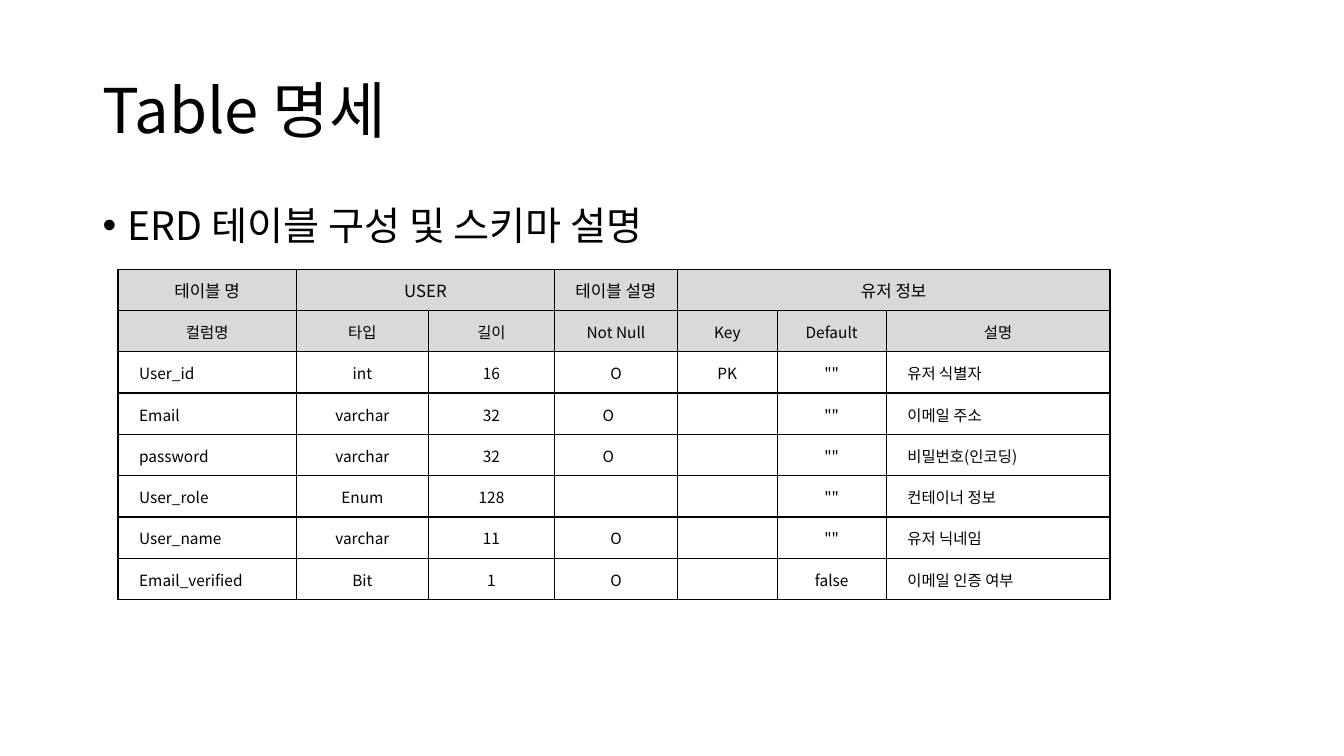
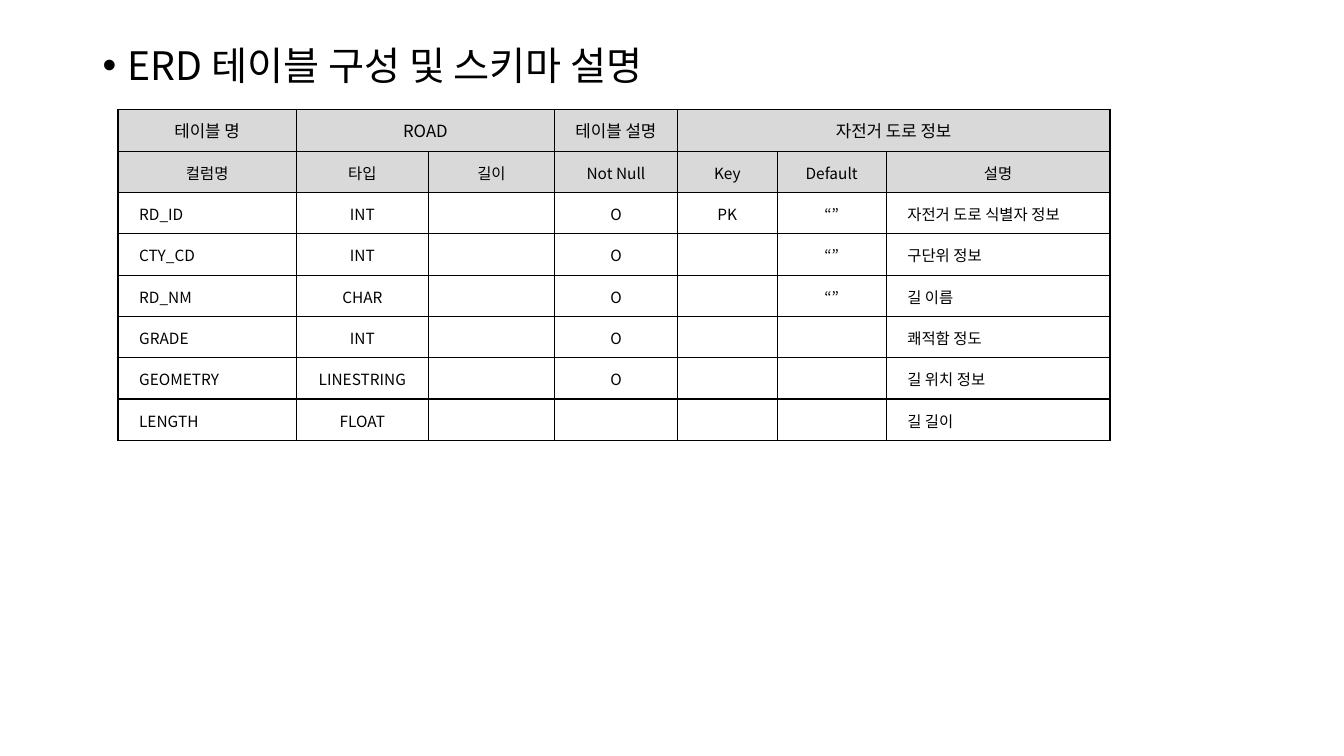
from dataclasses import dataclass

from lxml import etree
from pptx import Presentation
from pptx.dml.color import RGBColor
from pptx.enum.text import MSO_ANCHOR, PP_ALIGN
from pptx.oxml.ns import qn
from pptx.slide import Slide
from pptx.table import _Cell
from pptx.text.text import TextFrame
from pptx.util import Inches, Pt

LEFT, CENTER = PP_ALIGN.LEFT, PP_ALIGN.CENTER
TOP, MIDDLE = MSO_ANCHOR.TOP, MSO_ANCHOR.MIDDLE


@dataclass(frozen=True)
class Theme:
    font: str = "Noto Sans CJK KR"
    ink: str = "000000"
    header_fill: str = "D9D9D9"
    title_pt: int = 44
    body_pt: int = 28
    caption_pt: int = 12
    cell_pt: int = 11
    border_pt: int = 1


@dataclass(frozen=True)
class TableSpec:
    name: str
    description: str
    rows: list[tuple[str, ...]]


THEME = Theme()

# Shared layout, in inches
TEXT_LEFT, TEXT_WIDTH = 0.92, 11.5
TABLE_LEFT, ROW_HEIGHT = 1.17, 0.41
COL_WIDTHS = (1.77, 1.31, 1.25, 1.22, 0.99, 1.08, 2.22)
CELL_INSET, CELL_INDENT = 0.01, 0.2
BULLET_INDENT = 0.25

# Table content
HEADING = "ERD 테이블 구성 및 스키마 설명"
COLUMNS = ("컬럼명", "타입", "길이", "Not Null", "Key", "Default", "설명")
LEFT_COLUMNS = (0, len(COLUMNS) - 1)
CAPTION_SPANS = ((0, 0), (1, 2), (3, 3), (4, 6))

USER = TableSpec("USER", "유저 정보", [
    ("User_id", "int", "16", "O", "PK", '""', "유저 식별자"),
    ("Email", "varchar", "32", "O　", "", '""', "이메일 주소"),
    ("password", "varchar", "32", "O　", "", '""', "비밀번호(인코딩)"),
    ("User_role", "Enum", "128", "", "", '""', "컨테이너 정보"),
    ("User_name", "varchar", "11", "O", "", '""', "유저 닉네임"),
    ("Email_verified", "Bit", "1", "O", "", "false", "이메일 인증 여부"),
])
ROAD = TableSpec("ROAD", "자전거 도로 정보", [
    ("RD_ID", "INT", "", "O", "PK", "“”", "자전거 도로 식별자 정보"),
    ("CTY_CD", "INT", "", "O", "", "“”", "구단위 정보"),
    ("RD_NM", "CHAR", "", "O", "", "“”", "길 이름"),
    ("GRADE", "INT", "", "O", "", "", "쾌적함 정도"),
    ("GEOMETRY", "INT", "", "O", "", "", "길 위치 정보"),
    ("LENGTH", "FLOAT", "", "", "", "", "길 길이"),
])
ROAD.rows[4] = ("GEOMETRY", "LINESTRING", *ROAD.rows[4][2:])


def write_text(tf: TextFrame, text: str, *, size: int, align: PP_ALIGN = LEFT,
               indent: float = 0, line_spacing: float | None = None,
               space_before: int | None = None, bullet: str = "") -> None:
    p = tf.paragraphs[0]
    p.alignment = align
    if line_spacing is not None:
        p.line_spacing = line_spacing
    if space_before is not None:
        p.space_before = Pt(space_before)
    if indent:
        pPr = p._p.get_or_add_pPr()
        pPr.set("marL", str(Inches(indent)))
        pPr.set("indent", str(Inches(-indent if bullet else 0)))
        if bullet:
            etree.SubElement(pPr, qn("a:buFont"), typeface="Arial")
            etree.SubElement(pPr, qn("a:buChar"), char=bullet)
    if not text:
        # Keeps an empty cell from growing to the default type size
        etree.SubElement(p._p, qn("a:endParaRPr"), sz=str(size * 100))
        return
    r = p.add_run()
    r.text = text
    r.font.size = Pt(size)
    r.font.name = THEME.font
    r.font.color.rgb = RGBColor.from_string(THEME.ink)
    etree.SubElement(r._r.get_or_add_rPr(), qn("a:ea"), typeface=THEME.font)


def add_text_box(s: Slide, text: str, top: float, height: float, *,
                 anchor: MSO_ANCHOR = TOP, **text_format) -> None:
    box = s.shapes.add_textbox(Inches(TEXT_LEFT), Inches(top),
                               Inches(TEXT_WIDTH), Inches(height))
    tf = box.text_frame
    tf.word_wrap = True
    tf.vertical_anchor = anchor
    write_text(tf, text, line_spacing=0.9, **text_format)


def add_heading(s: Slide, top: float) -> None:
    add_text_box(s, HEADING, top, 4.76, size=THEME.body_pt, space_before=10,
                 indent=BULLET_INDENT, bullet="•")


def style_cell(cell: _Cell, *, header: bool, tight: bool) -> None:
    cell.vertical_anchor = MIDDLE
    if tight:
        cell.margin_left = cell.margin_right = cell.margin_top = Inches(CELL_INSET)
        cell.margin_bottom = 0
    if header:
        cell.fill.solid()
        cell.fill.fore_color.rgb = RGBColor.from_string(THEME.header_fill)
    else:
        cell.fill.background()
    # Borders come before the fill in the cell properties
    tcPr = cell._tc.get_or_add_tcPr()
    for i, side in enumerate(("lnL", "lnR", "lnT", "lnB")):
        ln = etree.Element(qn(f"a:{side}"), w=str(Pt(THEME.border_pt)))
        fill = etree.SubElement(ln, qn("a:solidFill"))
        etree.SubElement(fill, qn("a:srgbClr"), val=THEME.ink)
        tcPr.insert(i, ln)


def add_schema_table(s: Slide, spec: TableSpec, top: float) -> None:
    body = [COLUMNS, *spec.rows]
    n_rows = len(body) + 1
    table = s.shapes.add_table(
        n_rows, len(COLUMNS), Inches(TABLE_LEFT), Inches(top),
        Inches(sum(COL_WIDTHS)), Inches(ROW_HEIGHT * n_rows)).table
    table.first_row = table.horz_banding = False
    for column, width in zip(table.columns, COL_WIDTHS):
        column.width = Inches(width)
    for i, row in enumerate(table.rows):
        row.height = Inches(ROW_HEIGHT)
        for cell in row.cells:
            style_cell(cell, header=i < 2, tight=i > 0)

    # Caption row
    captions = ("테이블 명", spec.name, "테이블 설명", spec.description)
    for (first, last), text in zip(CAPTION_SPANS, captions):
        cell = table.cell(0, first)
        if last > first:
            cell.merge(table.cell(0, last))
        write_text(cell.text_frame, text, size=THEME.caption_pt, align=CENTER)

    # Column names and data rows
    for i, values in enumerate(body, start=1):
        for j, text in enumerate(values):
            at_left = i > 1 and j in LEFT_COLUMNS
            write_text(table.cell(i, j).text_frame, text, size=THEME.cell_pt,
                       align=LEFT if at_left else CENTER,
                       indent=CELL_INDENT if at_left else 0)


def main() -> None:
    prs = Presentation()
    prs.slide_width, prs.slide_height = Inches(13.33), Inches(7.5)
    blank = prs.slide_layouts[6]

    # User table, with the section title
    s = prs.slides.add_slide(blank)
    add_text_box(s, "Table 명세", 0.4, 1.45, anchor=MIDDLE, size=THEME.title_pt)
    add_heading(s, 2)
    add_schema_table(s, USER, 2.67)

    # Road table
    s = prs.slides.add_slide(blank)
    add_heading(s, 0.41)
    add_schema_table(s, ROAD, 1.09)

    prs.save("out.pptx")


if __name__ == "__main__":
    main()
